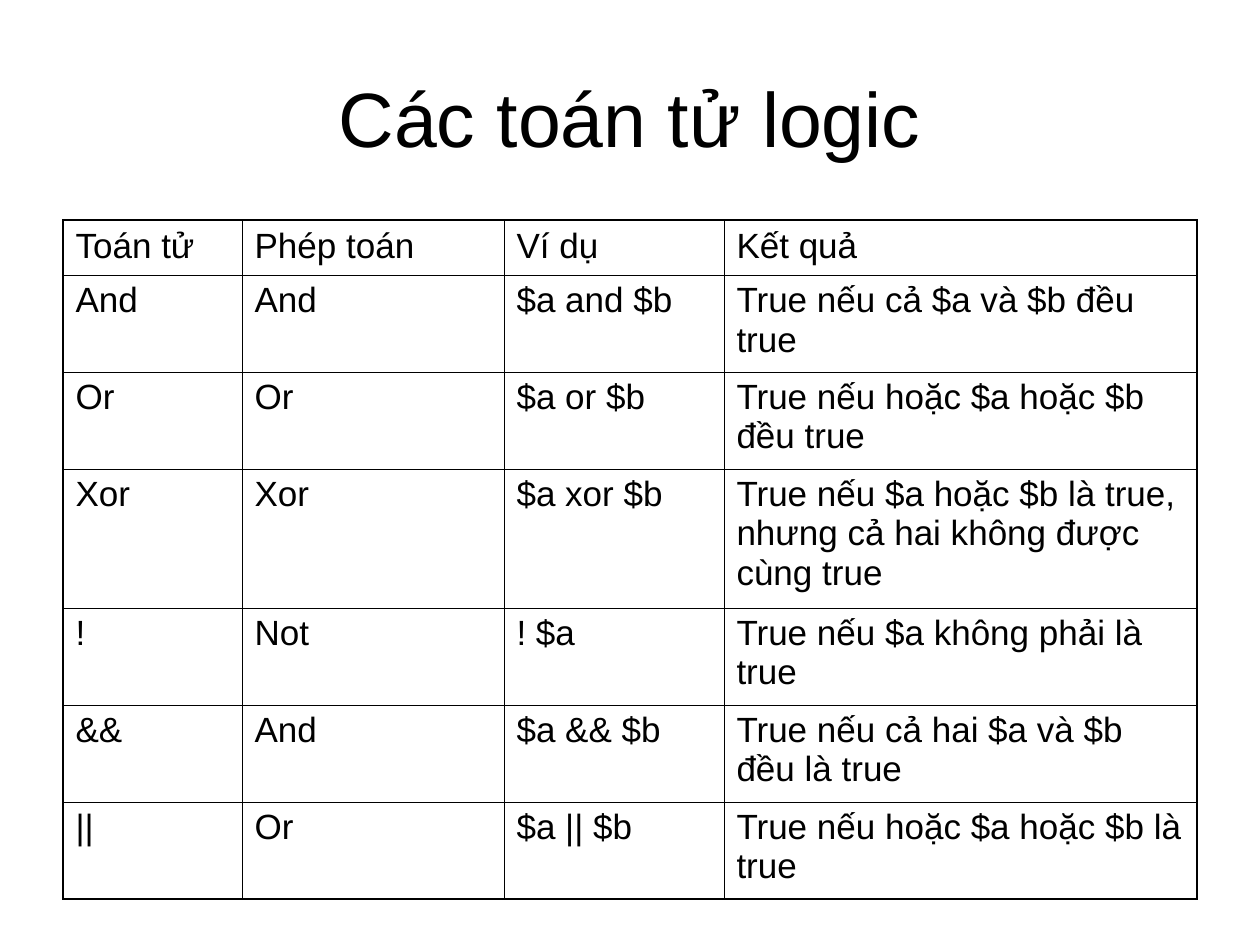
from lxml.etree import SubElement
from pptx import Presentation
from pptx.dml.color import RGBColor as Rgb
from pptx.enum.text import MSO_ANCHOR as Anchor, PP_ALIGN as Align
from pptx.oxml.ns import qn
from pptx.util import Pt

TITLE = "Các toán tử logic"
ROWS = [
    ("Toán tử", "Phép toán", "Ví dụ", "Kết quả"),
    ("And", "And", "$a and $b", "True nếu cả $a và $b đều true"),
    ("Or", "Or", "$a or $b", "True nếu hoặc $a hoặc $b đều true"),
    ("Xor", "Xor", "$a xor $b",
     "True nếu $a hoặc $b là true, nhưng cả hai không được cùng true"),
    ("!", "Not", "! $a", "True nếu $a không phải là true"),
    ("&&", "And", "$a && $b", "True nếu cả hai $a và $b đều là true"),
    ("||", "Or", "$a || $b", "True nếu hoặc $a hoặc $b là true"),
]
WIDTHS = [179, 262, 220, 473]
HEIGHTS = [55, 97, 97, 139, 97, 97, 97]
COLORS = {"text": "000000", "line": "000000", "back": "FFFFFF"}
FONT = "Arial"
THIN, THICK = 0.45, 1.08
LEFT, TOP = 63, 220


def px(n):
    return n * 914400 // 126


def write(frame, text, size):
    para = frame.paragraphs[0]
    run = para.add_run()
    run.text = text
    run.font.name = FONT
    run.font.size = Pt(size)
    run.font.color.rgb = Rgb.from_string(COLORS["text"])
    return para


def edge(cell, side, width):
    """Draw one border of a cell; sides go in the order L, R, T, B."""
    line = SubElement(cell._tc.get_or_add_tcPr(), qn(f"a:ln{side}"),
                      w=str(int(Pt(width))))
    fill = SubElement(line, qn("a:solidFill"))
    SubElement(fill, qn("a:srgbClr"), val=COLORS["line"])


def add_title(slide):
    title = slide.shapes.title
    title.left, title.top = px(63), px(38)
    title.width, title.height = px(1134), px(157)
    title.text_frame.vertical_anchor = Anchor.MIDDLE
    write(title.text_frame, TITLE, 44).alignment = Align.CENTER


def add_grid(slide):
    rows, cols = len(ROWS), len(WIDTHS)
    table = slide.shapes.add_table(rows, cols, px(LEFT), px(TOP),
                                   px(sum(WIDTHS)), px(sum(HEIGHTS))).table
    table.first_row = table.horz_banding = False
    for col, width in zip(table.columns, WIDTHS):
        col.width = px(width)
    for r, texts in enumerate(ROWS):
        table.rows[r].height = px(HEIGHTS[r])
        for c, text in enumerate(texts):
            cell = table.cell(r, c)
            outer = {"L": c == 0, "R": c == cols - 1,
                     "T": r == 0, "B": r == rows - 1}
            for side, thick in outer.items():
                edge(cell, side, THICK if thick else THIN)
            cell.fill.background()
            write(cell.text_frame, text, 20).space_before = Pt(5)


def main():
    deck = Presentation()
    deck.slide_width, deck.slide_height = px(1260), px(945)
    slide = deck.slides.add_slide(deck.slide_layouts[5])
    slide.background.fill.solid()
    slide.background.fill.fore_color.rgb = Rgb.from_string(COLORS["back"])
    add_title(slide)
    add_grid(slide)
    deck.save("out.pptx")


if __name__ == "__main__":
    main()
